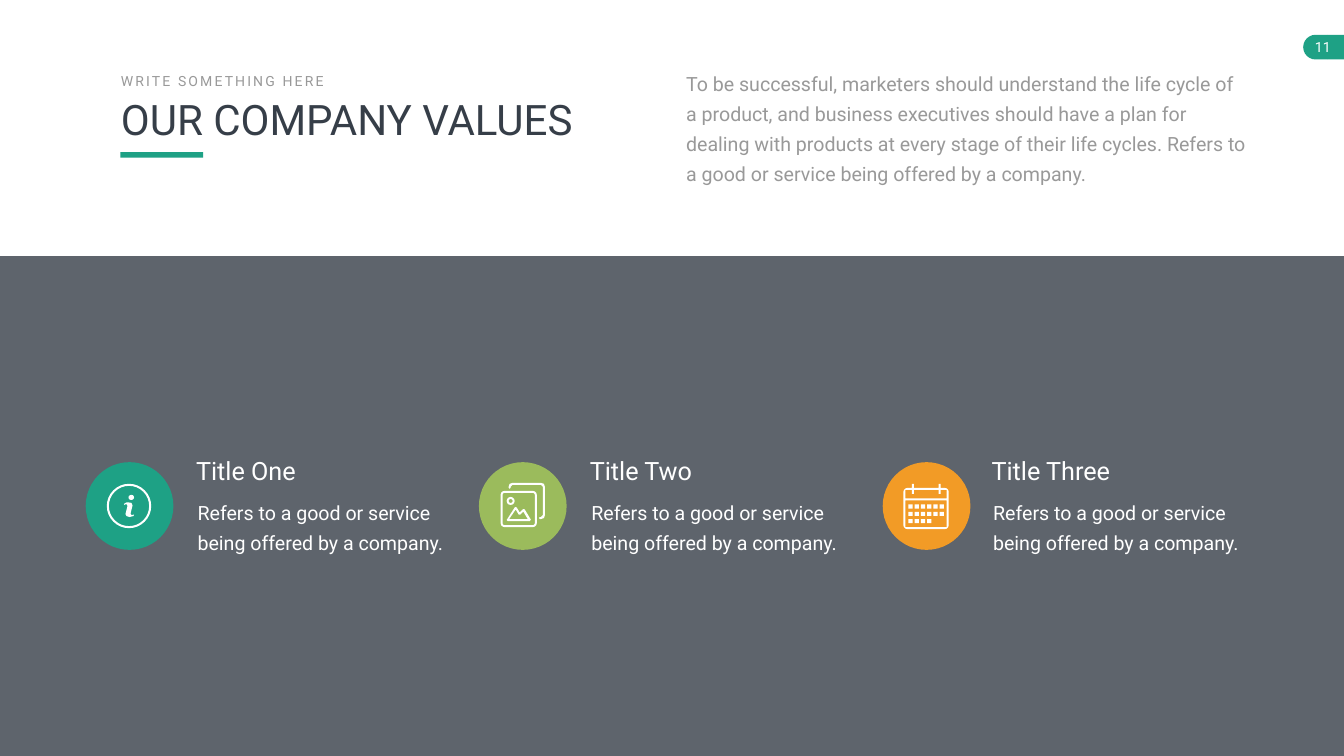
import math

from lxml import etree
from pptx import Presentation
from pptx import util as u
from pptx.dml.color import RGBColor
from pptx.enum import shapes, text
from pptx.oxml.ns import qn

GREEN, LIME, ORANGE = "1EA185", "9BBB5C", "F29B26"
WHITE, GREY, DARK = "FFFFFF", "999999", "363E48"
KIND = shapes.MSO_SHAPE

HEADING = "OUR COMPANY VALUES"
KICKER = "WRITE SOMETHING HERE"
INTRO = ("To be successful, marketers should understand the life cycle of a product, "
         "and business executives should have a plan for dealing with products at every "
         "stage of their life cycles. Refers to a good or service being offered by a company.")
DETAIL = "Refers to a good or service being offered by a company."
VALUES = [
    {"title": "Title One", "color": GREEN, "icon": "info", "circle": 1.7, "text": 3.68},
    {"title": "Title Two", "color": LIME, "icon": "gallery", "circle": 9.5, "text": 11.49},
    {"title": "Title Three", "color": ORANGE, "icon": "calendar", "circle": 17.51, "text": 19.46},
]
CIRCLE_TOP, CIRCLE_SIZE = 9.17, 1.74
STROKE = 4

LETTER_STEM = [(76, 85), (77, 82), (81, 80), (86, 80), (91, 81), (93, 86), (92, 90), (90, 98),
               (89, 102), (90, 104), (92, 105), (96, 104), (95, 107), (91, 108), (87, 109),
               (81, 107), (79, 103), (80, 99), (82, 91), (83, 87), (82, 84), (78, 84)]
BACK_FRAME = [(59, 51), (59, 49), (61, 43), (67, 41), (123, 41), (129, 43), (131, 49),
              (131, 105), (129, 111), (123, 113), (121, 113), (119, 111), (121, 109),
              (123, 109), (127, 105), (127, 49), (123, 45), (67, 45), (63, 49), (63, 51), (61, 53)]
MOUNTAINS = [(55, 115), (71, 90), (73, 89), (75, 90), (81, 100), (87, 94), (89, 93),
             (91, 94), (103, 114), (101, 117), (57, 117)]
MOUNTAIN_HOLE = [(60, 113), (73, 94), (79, 104), (82, 104), (88, 98), (97, 113)]
DAYS_PER_ROW = [6, 6, 4]


def rgb(value):
    return RGBColor.from_string(value)


def paint(shape, fill):
    shape.shadow.inherit = False
    shape.fill.solid()
    shape.fill.fore_color.rgb = rgb(fill)
    shape.line.fill.background()
    return shape


def add_shape(kind, left, top, width, height, fill):
    frame = [u.Inches(v) for v in (left, top, width, height)]
    return paint(page.shapes.add_shape(kind, *frame), fill)


def write(box, content, size, color, inset=(0.1, 0.05), wrap=True, leading=None,
          spacing=None, align=text.PP_ALIGN.LEFT):
    frame = box.text_frame
    frame.word_wrap = wrap
    frame.auto_size = text.MSO_AUTO_SIZE.NONE
    frame.vertical_anchor = text.MSO_ANCHOR.TOP
    frame.margin_left = frame.margin_right = u.Inches(inset[0])
    frame.margin_top = frame.margin_bottom = u.Inches(inset[1])
    para = frame.paragraphs[0]
    para.alignment = align
    para.space_before = u.Pt(0)
    if leading:
        para.line_spacing = u.Pt(leading)
    span = para.add_run()
    span.text = content
    span.font.name = "Roboto"
    span.font.size = u.Pt(size)
    span.font.color.rgb = rgb(color)
    if spacing:
        span.font._element.set("spc", str(spacing * 100))
    return para


def add_text(content, left, top, width, height, **style):
    box = page.shapes.add_textbox(*[u.Inches(v) for v in (left, top, width, height)])
    return write(box, content, **style)


def place(holder, left, top, width, height):
    holder.left, holder.top = u.Inches(left), u.Inches(top)
    holder.width, holder.height = u.Inches(width), u.Inches(height)
    return holder


def rectangle(x, y, width, height):
    return [(x, y), (x + width, y), (x + width, y + height), (x, y + height)]


def rounded(x, y, width, height, radius, steps=3):
    centres = rectangle(x + radius, y + radius, width - 2 * radius, height - 2 * radius)
    points = []
    for corner, (cx, cy) in enumerate(centres):
        for step in range(steps + 1):
            angle = math.pi * (1 + corner / 2 + step / steps / 2)
            points.append((cx + radius * math.cos(angle), cy + radius * math.sin(angle)))
    return points


def ring(x, y, size, radius, steps=3):
    inner = size - 2 * STROKE
    return [rounded(x, y, size, size, radius, steps),
            rounded(x + STROKE, y + STROKE, inner, inner, radius - STROKE, steps)]


def info():
    return ring(42, 43, 88, 44, steps=8) + [rounded(85, 65, 11, 10, 5), LETTER_STEM]


def gallery():
    return [BACK_FRAME, MOUNTAINS, MOUNTAIN_HOLE] + ring(43, 57, 72, 8) + ring(55, 69, 16, 8)


def calendar():
    frame = [rounded(41, 51, 90, 82, 8), rectangle(45, 55, 82, 17), rectangle(45, 76, 82, 53)]
    tabs = [rectangle(x, y, 4, 8) for x in (58, 111) for y in (43, 55)]
    days = [rectangle(51 + day * 12.4, 84 + row * 14.5, 8.3, 8)
            for row, count in enumerate(DAYS_PER_ROW) for day in range(count)]
    return frame + tabs + days


ICONS = {"info": info, "gallery": gallery, "calendar": calendar}


def add_icon(name, left, top):
    contours = [[(round(x * 10), round(y * 10)) for x, y in points] for points in ICONS[name]()]
    builder = page.shapes.build_freeform(*contours[0][0], scale=u.Inches(0.001))
    for index, points in enumerate(contours):
        if index:
            builder.move_to(*points[0])
        builder.add_line_segments(points[1:], close=True)
    paint(builder.convert_to_shape(u.Inches(left), u.Inches(top)), WHITE)


deck = Presentation()
deck.slide_width, deck.slide_height = u.Inches(26.66), u.Inches(15)
page = deck.slides.add_slide(deck.slide_layouts[1])
title, body = page.placeholders

add_shape(KIND.FLOWCHART_DELAY, 25.85, 0.69, 0.49, 0.49, GREEN).rotation = 180
add_shape(KIND.RECTANGLE, 26.34, 0.69, 0.32, 0.49, GREEN)
add_text("11", 25.84, 0.67, 0.8, 0.54, size=20, color=WHITE, inset=(0.1, 0.1),
         wrap=False, align=text.PP_ALIGN.CENTER)

panel = add_shape(KIND.RECTANGLE, 0, 5.08, 26.66, 9.92, DARK)
tint = panel._element.spPr.find(qn("a:solidFill"))[0]
etree.SubElement(tint, qn("a:alpha"), val="80000")

add_text(KICKER, 2.3, 1.39, 4.35, 0.44, size=20, color=GREY, wrap=False, spacing=3)
write(place(title, 2.3, 1.81, 10.04, 1.11), HEADING, size=60, color=DARK)
add_shape(KIND.RECTANGLE, 2.39, 3.02, 1.64, 0.11, GREEN)

intro = write(place(body, 13.37, 1.17, 11.59, 2.6), INTRO, size=28, color=GREY,
              inset=(0.24, 0.12), leading=43)
props = intro._p.get_or_add_pPr()
props.set("marL", "0")
props.set("indent", "0")
etree.SubElement(props, qn("a:buNone"))

for value in VALUES:
    add_shape(KIND.OVAL, value["circle"], CIRCLE_TOP, CIRCLE_SIZE, CIRCLE_SIZE, value["color"])
    add_icon(value["icon"], value["circle"], CIRCLE_TOP)
    add_text(value["title"], value["text"] + 0.11, 8.99, 2.65, 0.71, size=36, color=WHITE, wrap=False)
    add_text(DETAIL, value["text"], 9.68, 5.5, 1.39, size=28, color=WHITE,
             inset=(0.24, 0.12), leading=43)

deck.save("out.pptx")
